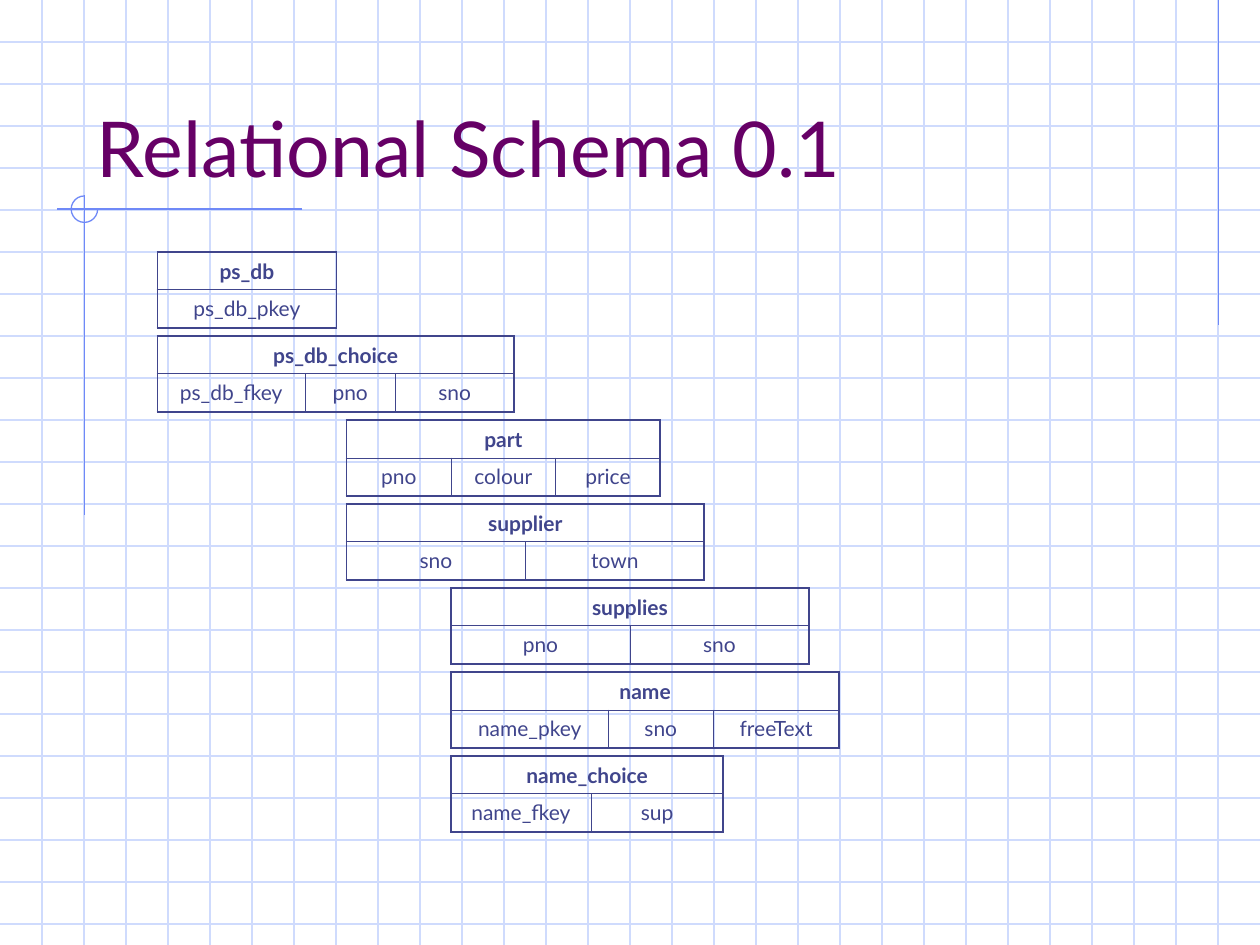
from lxml.etree import SubElement
from pptx import Presentation
from pptx.dml.color import RGBColor
from pptx.enum.shapes import MSO_CONNECTOR as CONN, MSO_SHAPE as SHAPE
from pptx.enum.text import MSO_ANCHOR as ANCHOR, PP_ALIGN as ALIGN
from pptx.oxml.ns import qn
from pptx.util import Inches, Pt

COLORS = {"grid": "CFDBFD", "accent": "6F89F7", "title": "660066", "table": "40458C"}
FONT = "Lato"
WIDTH, HEIGHT = 10, 7.5
GRID_STEP = 1 / 3
ROW_HEIGHT = 0.3
THICK, THIN = 1.08, 0.45

SCHEMA_TOP, SCHEMA_STEP = 2, 2 / 3
SCHEMA = [
    (1.25, "ps_db", [("ps_db_pkey", 1.42)]),
    (1.25, "ps_db_choice", [("ps_db_fkey", 1.17), ("pno", 0.72), ("sno", 0.94)]),
    (2.75, "part", [("pno", 0.83), ("colour", 0.83), ("price", 0.83)]),
    (2.75, "supplier", [("sno", 1.42), ("town", 1.42)]),
    (3.58, "supplies", [("pno", 1.42), ("sno", 1.42)]),
    (3.58, "name", [("name_pkey", 1.25), ("sno", 0.83), ("freeText", 1)]),
    (3.58, "name_choice", [("name_fkey", 1.11), ("sup", 1.05)]),
]


def color(name):
    return RGBColor.from_string(COLORS[name])


def set_font(p, size, name, bold=False):
    p.font.name = FONT
    p.font.size = Pt(size)
    p.font.bold = bold
    p.font.color.rgb = color(name)


def add_line(s, x1, y1, x2, y2, name):
    line = s.shapes.add_connector(
        CONN.STRAIGHT, Inches(x1), Inches(y1), Inches(x2), Inches(y2))
    line.line.color.rgb = color(name)
    line.line.width = Pt(0.75)
    SubElement(line._element.spPr, qn("a:effectLst"))


def add_grid(s, width, height):
    for i in range(1, int(height / GRID_STEP) + 1):
        add_line(s, 0, i * GRID_STEP, width, i * GRID_STEP, "grid")
    for i in range(1, round(width / GRID_STEP)):
        add_line(s, i * GRID_STEP, 0, i * GRID_STEP, height, "grid")


def add_accents(s, x, y):
    add_line(s, 9.67, 0, 9.67, 2.58, "accent")
    add_line(s, x + 1.73, y, x - 0.22, y, "accent")
    add_line(s, x, y - 0.11, x, y + 2.43, "accent")
    size = 0.21
    arc = s.shapes.add_shape(
        SHAPE.ARC, Inches(x - size / 2), Inches(y - size / 2), Inches(size), Inches(size))
    arc.adjustments[0] = 0
    arc.adjustments[1] = 162
    arc.shadow.inherit = False
    arc.fill.background()
    arc.line.color.rgb = color("accent")
    arc.line.width = Pt(0.75)


def add_title(s, text, x, y, w, h):
    tf = s.shapes.add_textbox(Inches(x), Inches(y), Inches(w), Inches(h)).text_frame
    tf.word_wrap = True
    tf.vertical_anchor = ANCHOR.BOTTOM
    p = tf.paragraphs[0]
    p.text = text
    set_font(p, 44, "title")


def set_borders(cell, left, right, top, bottom):
    tcPr = cell._tc.get_or_add_tcPr()
    for side, width in zip("LRTB", (left, right, top, bottom)):
        ln = SubElement(tcPr, qn(f"a:ln{side}"), w=str(Pt(width)))
        fill = SubElement(ln, qn("a:solidFill"))
        SubElement(fill, qn("a:srgbClr"), val=COLORS["table"])


def add_relation(s, name, fields, x, y):
    last = len(fields) - 1
    width = sum(w for _, w in fields)
    table = s.shapes.add_table(
        2, len(fields), Inches(x), Inches(y), Inches(width), Inches(2 * ROW_HEIGHT)).table
    table.first_row = table.horz_banding = False
    for row in table.rows:
        row.height = Inches(ROW_HEIGHT)
    if last:
        table.cell(0, 0).merge(table.cell(0, last))
    for c, (field, w) in enumerate(fields):
        table.columns[c].width = Inches(w)
        for r, text in enumerate(("" if c else name, field)):
            header = r == 0
            cell = table.cell(r, c)
            set_borders(cell,
                        THICK if header or c == 0 else THIN,
                        THICK if header or c == last else THIN,
                        THICK if header else THIN,
                        THIN if header else THICK)
            cell.fill.background()
            p = cell.text_frame.paragraphs[0]
            p.text = text
            p.alignment = ALIGN.CENTER
            set_font(p, 12, "table", bold=header)


def main():
    prs = Presentation()
    prs.slide_width, prs.slide_height = Inches(WIDTH), Inches(HEIGHT)
    s = prs.slides.add_slide(prs.slide_layouts[6])
    add_grid(s, WIDTH, HEIGHT)
    add_accents(s, 0.67, 1.66)
    add_title(s, "Relational Schema 0.1", 0.67, 0.33, 8.5, 1.25)
    for i, (x, name, fields) in enumerate(SCHEMA):
        add_relation(s, name, fields, x, SCHEMA_TOP + i * SCHEMA_STEP)
    prs.save("out.pptx")


if __name__ == "__main__":
    main()
